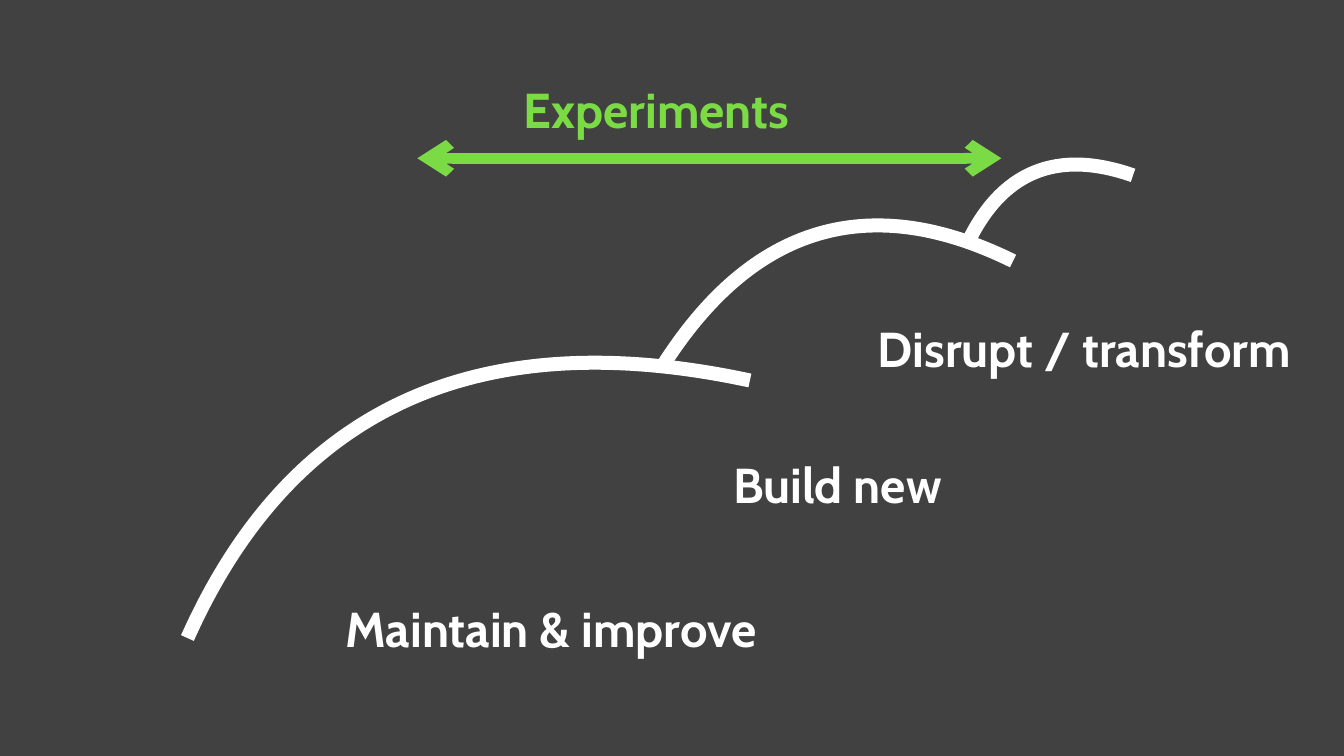
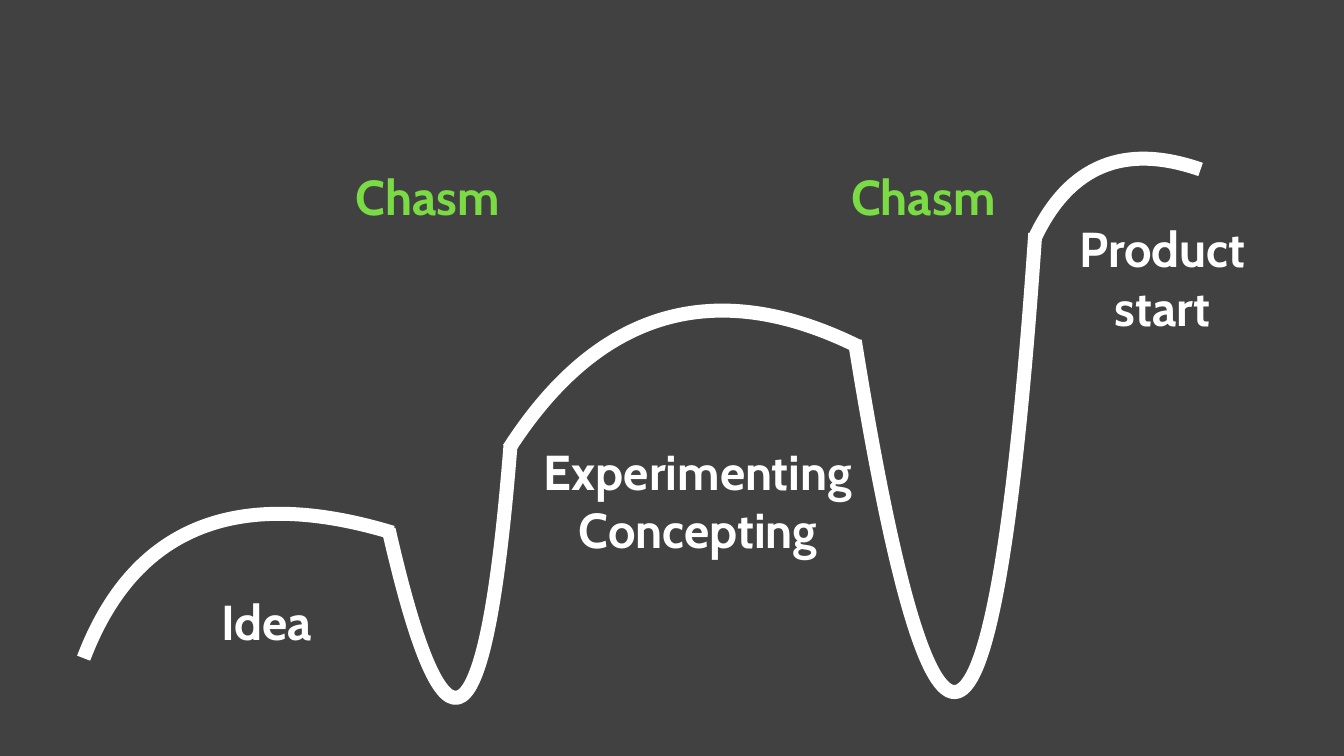
import lxml.etree
import pptx
import pptx.dml.color
import pptx.enum.shapes
import pptx.enum.text
import pptx.oxml.ns
import pptx.util

COLOURS = {"ground": "424142", "curve": "FFFFFF", "accent": "7BDB45"}
SLIDE_BOX = (0, 0, 1920, 1080)
LINE_HEIGHT, LABEL_INSET = 89.3, 4.5
FRAME_FORMAT = {
    "word_wrap": False,
    "auto_size": pptx.enum.text.MSO_AUTO_SIZE.SHAPE_TO_FIT_TEXT,
    "vertical_anchor": pptx.enum.text.MSO_ANCHOR.MIDDLE,
    **{f"margin_{side}": pptx.util.Pt(LABEL_INSET) for side in ("left", "top", "right", "bottom")},
}
FONT_FORMAT = {"name": "Cabin", "size": pptx.util.Pt(70), "bold": True}

CORE_HILL = [(146.9, -329), (414.7, -451.4), (803.5, -367.9)]
IDEA_HILL = [(71.3, -187.2), (218.2, -247), (441.4, -179.3)]
MIDDLE_HILL = [(127.4, -198), (293.8, -247), (498.2, -146.2)]
LAST_HILL = [(49, -102.2), (127.4, -134.6), (236.2, -96.5)]
FIRST_CHASM = [(81.4, 357.1), (139.7, 317.5), (174.2, -120.2)]
SECOND_CHASM = [(115.2, 717.1), (201.6, 666), (257.8, -153.4)]


def rgb(role):
    """Return the colour that plays the given role."""
    return pptx.dml.color.RGBColor.from_string(COLOURS[role])


def bezier_point(controls, t):
    """Return the point at t on a cubic curve, in EMU."""
    weights = ((1 - t) ** 3, 3 * t * (1 - t) ** 2, 3 * t * t * (1 - t), t ** 3)
    return tuple(round(sum(w * c[axis] for w, c in zip(weights, controls))) for axis in (0, 1))


def add_curve(slide, box, start, steps):
    """Draw one cubic curve from start, with control points relative to it."""
    x, y = box[0] + start[0], box[1] + start[1]
    controls = [(pptx.util.Pt(x + dx), pptx.util.Pt(y + dy)) for dx, dy in [(0, 0), *steps]]
    outline = [bezier_point(controls, i / 60) for i in range(61)]
    builder = slide.shapes.build_freeform(*outline[0])
    builder.add_line_segments(outline[1:], close=False)
    curve = builder.convert_to_shape()
    qn = pptx.oxml.ns.qn
    track = next(curve._element.iter(qn("a:path")))
    for segment in track.findall(qn("a:lnTo")):
        track.remove(segment)
    bend = lxml.etree.SubElement(track, qn("a:cubicBezTo"))
    for px, py in controls[1:]:
        lxml.etree.SubElement(bend, qn("a:pt"), x=str(px - curve.left), y=str(py - curve.top))
    curve.shadow.inherit = False
    curve.fill.background()
    curve.line.color.rgb = rgb("curve")
    curve.line.width = pptx.util.Pt(20)


def add_label(slide, box, left, top, width, text, role="curve"):
    """Write a centred label, one paragraph per line of text."""
    lines = text.split("\n")
    height = 79.2 + LINE_HEIGHT * (len(lines) - 1)
    label = slide.shapes.add_textbox(
        *map(pptx.util.Pt, (box[0] + left, box[1] + top, width, height)))
    frame = label.text_frame
    for name, value in FRAME_FORMAT.items():
        setattr(frame, name, value)
    frame.text = text
    for paragraph in frame.paragraphs:
        paragraph.alignment = pptx.enum.text.PP_ALIGN.CENTER
        font = paragraph.runs[0].font
        for name, value in FONT_FORMAT.items():
            setattr(font, name, value)
        font.color.rgb = rgb(role)


def add_span_arrow(slide, box, left, right, y):
    """Draw a level arrow with a head at both ends."""
    ends = (box[0] + left, box[1] + y, box[0] + right, box[1] + y)
    arrow = slide.shapes.add_connector(
        pptx.enum.shapes.MSO_CONNECTOR.STRAIGHT, *map(pptx.util.Pt, ends))
    arrow.line.color.rgb = rgb("accent")
    arrow.line.width = pptx.util.Pt(15)
    qn = pptx.oxml.ns.qn
    properties = arrow._element.spPr
    for end in ("a:headEnd", "a:tailEnd"):
        lxml.etree.SubElement(properties.find(qn("a:ln")), qn(end), type="arrow")
    lxml.etree.SubElement(properties, qn("a:effectLst"))


def build_horizons(slide, box):
    """Show three growth curves with the range of experiments above."""
    for start, steps in (
        ((267.8, 911.5), CORE_HILL),
        ((949, 519.1), MIDDLE_HILL),
        ((1382.4, 347), LAST_HILL),
    ):
        add_curve(slide, box, start, steps)
    add_label(slide, box, 482.4, 857.5, 609.1, "Maintain & improve")
    add_label(slide, box, 1041.8, 651.6, 308.9, "Build new")
    add_label(slide, box, 1242.7, 457.9, 612.7, "Disrupt / transform")
    add_label(slide, box, 738.7, 116.6, 397.4, "Experiments", "accent")
    add_span_arrow(slide, box, 596.2, 1430.6, 226.1)


def build_chasms(slide, box):
    """Show the stages from idea to product, parted by two chasms."""
    for start, steps in (
        ((119.5, 940.3), IDEA_HILL),
        ((727.2, 640.8), MIDDLE_HILL),
        ((1478.9, 338.6), LAST_HILL),
        ((555.1, 756), FIRST_CHASM),
        ((1221.1, 486.7), SECOND_CHASM),
    ):
        add_curve(slide, box, start, steps)
    add_label(slide, box, 308.2, 846.7, 146.2, "Idea")
    add_label(slide, box, 760.3, 630, 473.8, "Experimenting\nConcepting")
    add_label(slide, box, 1524.2, 311.8, 272.9, "Product\nstart")
    for left in (496.1, 1203.8):
        add_label(slide, box, left, 239.8, 230.4, "Chasm", "accent")


def main():
    """Build and save the deck."""
    deck = pptx.Presentation()
    deck.slide_width, deck.slide_height = map(pptx.util.Pt, SLIDE_BOX[2:])
    ground = deck.slide_master.background.fill
    ground.solid()
    ground.fore_color.rgb = rgb("ground")
    for build in (build_horizons, build_chasms):
        build(deck.slides.add_slide(deck.slide_layouts[6]), SLIDE_BOX)
    deck.save("out.pptx")


if __name__ == "__main__":
    main()
